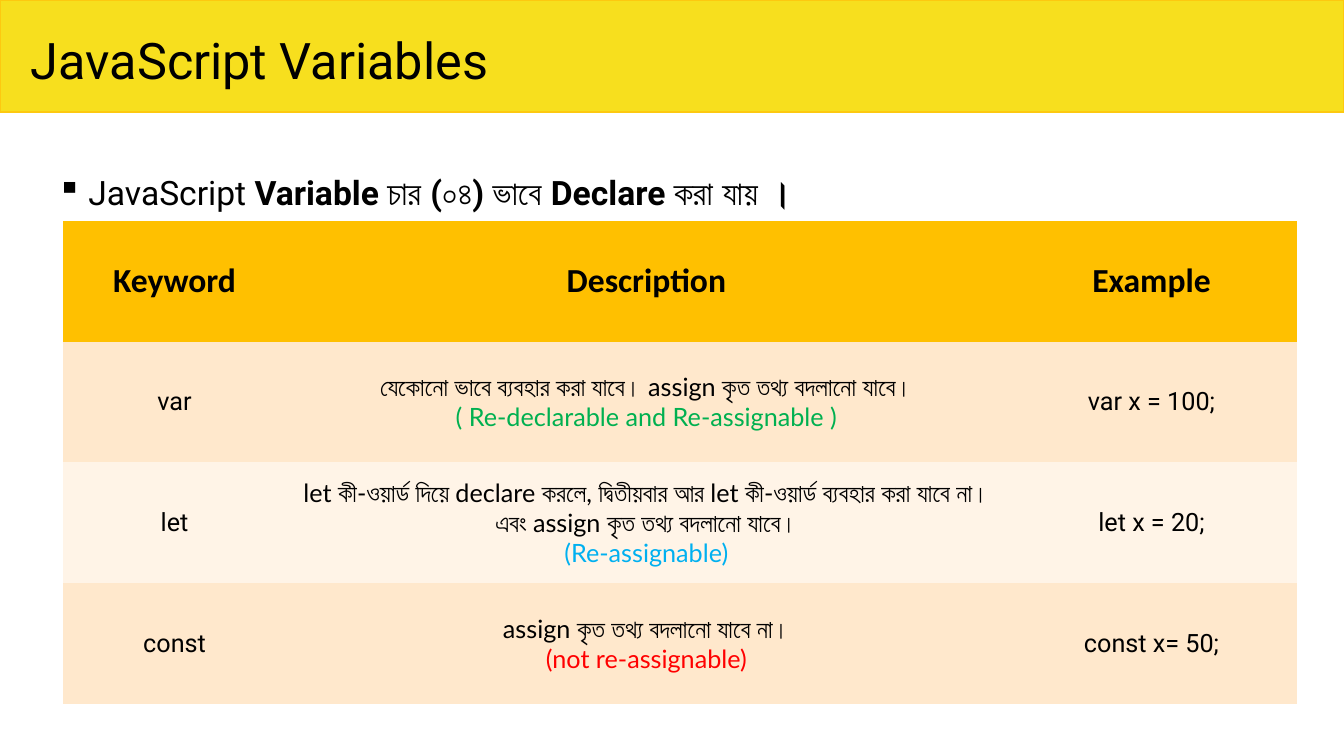
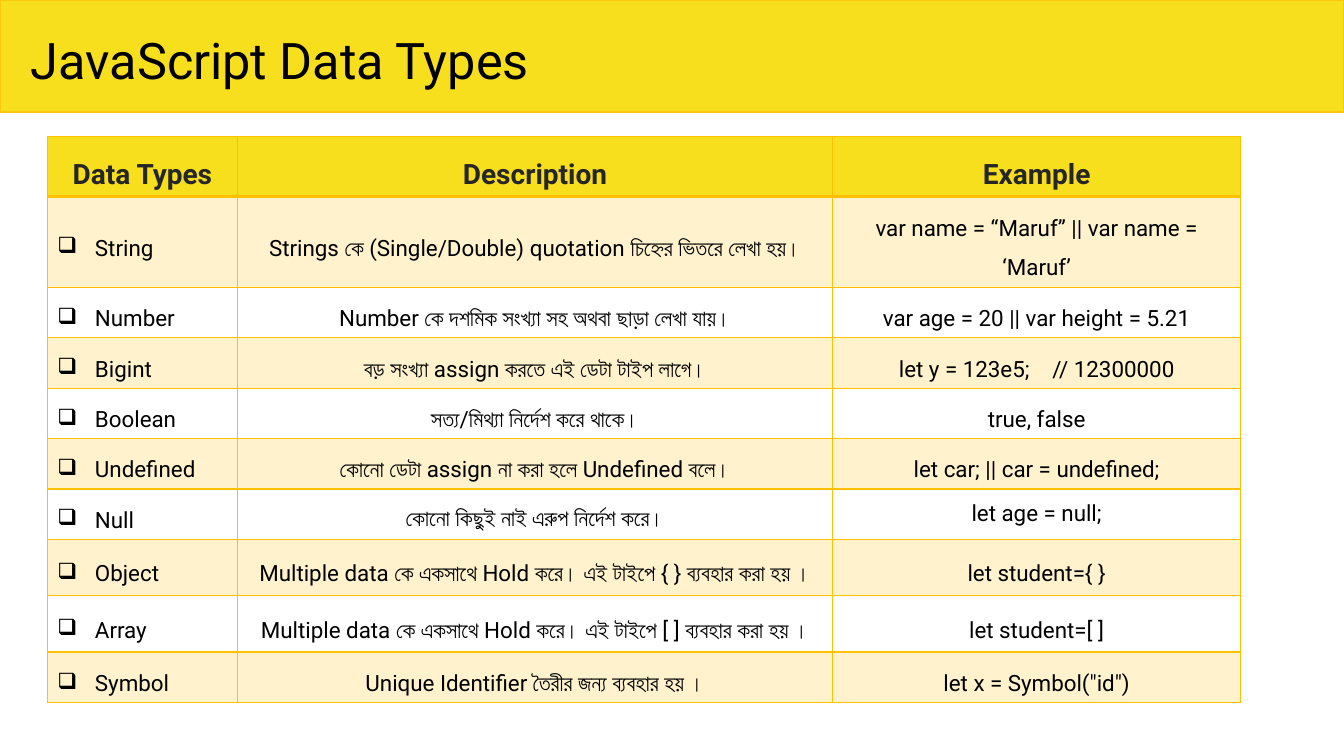
from dataclasses import dataclass
from typing import NamedTuple

from lxml.etree import SubElement
from pptx import Presentation
from pptx.dml.color import RGBColor
from pptx.enum.shapes import MSO_SHAPE as Shape
from pptx.enum.text import MSO_ANCHOR as Anchor, MSO_AUTO_SIZE as AutoSize, PP_ALIGN as Align
from pptx.oxml.ns import qn
from pptx.util import Cm, Pt


@dataclass(frozen=True)
class Theme:
    """Colours, fonts and type sizes shared by the slides."""
    yellow: str = "F7DF1E"
    band_edge: str = "FDC910"
    amber: str = "FFC000"
    amber_tint: str = "FFF2CC"
    peach: str = "FFE8CC"
    cream: str = "FFF4E7"
    white: str = "FFFFFF"
    ink: str = "000000"
    charcoal: str = "262626"
    green: str = "00B050"
    blue: str = "00B0F0"
    red: str = "FF0000"
    font: str = "Roboto"
    header_font: str = "Calibri"
    note_font: str = "Lato"
    title: int = 36
    lead: int = 24
    header: int = 20
    body: int = 18
    small: int = 16


class Box(NamedTuple):
    """A region in centimetres."""
    left: float
    top: float
    width: float
    height: float

    def lengths(self):
        """Return the four measures as slide lengths."""
        return [Cm(value) for value in self]


THEME = Theme()
PAGE = Box(0, 0, 33.87, 19.05)
BAND = Box(0, 0, PAGE.width, 2.82)
PLAIN_STYLE = "{2D5ABB26-0587-4C30-8999-92F81FD0307C}"

KEYWORDS = [
    ("var", "যেকোনো ভাবে ব্যবহার করা যাবে। assign কৃত তথ্য বদলানো যাবে।",
     "( Re-declarable and Re-assignable )", THEME.green, "var x = 100;"),
    ("let", "let কী-ওয়ার্ড দিয়ে declare করলে, দ্বিতীয়বার আর let কী-ওয়ার্ড "
     "ব্যবহার করা যাবে না। এবং assign কৃত তথ্য বদলানো যাবে।",
     "(Re-assignable)", THEME.blue, "let x = 20;"),
    ("const", "assign কৃত তথ্য বদলানো যাবে না।",
     "(not re-assignable)", THEME.red, "const x= 50;"),
]

DATA_TYPES = [
    ("String", "Strings কে (Single/Double) quotation চিহ্নের ভিতরে লেখা হয়।",
     "var name = “Maruf” || var name = ‘Maruf’"),
    ("Number", "Number কে দশমিক সংখ্যা সহ অথবা ছাড়া লেখা যায়।",
     "var age = 20 || var height = 5.21"),
    ("Bigint", "বড় সংখ্যা assign করতে এই ডেটা টাইপ লাগে।",
     "let y = 123e5;\u2003// 12300000"),
    ("Boolean", "সত্য/মিথ্যা নির্দেশ করে থাকে।", "true, false"),
    ("Undefined", "কোনো ডেটা assign না করা হলে Undefined বলে।",
     "let car; || car = undefined;"),
    ("Null", "কোনো কিছুই নাই এরুপ নির্দেশ করে।", "let age = null;"),
    ("Object", "Multiple data কে একসাথে Hold করে। এই টাইপে { } ব্যবহার করা হয় ।",
     "let student={ }"),
    ("Array", "Multiple data কে একসাথে Hold করে। এই টাইপে [ ] ব্যবহার করা হয় ।",
     "let student=[ ]"),
    ("Symbol", "Unique Identifier তৈরীর জন্য ব্যবহার হয় ।", 'let x = Symbol("id")'),
]


def write(para, text, *, size=THEME.body, font=THEME.font, color=THEME.ink,
          bold=False, align=None, spacing=None, bullet=None, indent=0):
    """Add a formatted span to a paragraph, with its paragraph format if given."""
    span = para.add_run()
    span.text = text
    span.font.size, span.font.name, span.font.bold = Pt(size), font, bold
    span.font.color.rgb = RGBColor.from_string(color)
    if align is not None:
        para.alignment = align
    if spacing:
        para.line_spacing = spacing
    if bullet:
        props = para._p.get_or_add_pPr()
        props.set("marL", str(Cm(indent)))
        props.set("indent", str(-Cm(indent)))
        SubElement(props, qn("a:buChar"), char=bullet)


def add_text_box(page, box):
    """Add a wrapping text box and return its first paragraph."""
    frame = page.shapes.add_textbox(*box.lengths()).text_frame
    frame.word_wrap = True
    frame.auto_size = AutoSize.SHAPE_TO_FIT_TEXT
    return frame.paragraphs[0]


def add_title_band(page, box, title):
    """Draw the yellow band with the slide title inside it."""
    band = page.shapes.add_shape(Shape.RECTANGLE, *box.lengths())
    band.shadow.inherit = False
    band.fill.solid()
    band.fill.fore_color.rgb = RGBColor.from_string(THEME.yellow)
    band.line.color.rgb = RGBColor.from_string(THEME.band_edge)
    band.line.width = Pt(1)
    title_box = Box(box.left + 0.53, box.top + 0.61, box.width - 4.13, 1.8)
    write(add_text_box(page, title_box), title, size=THEME.title)


def add_grid(page, box, widths, heights, fills):
    """Add an unstyled table, filling each row with its colour."""
    table = page.shapes.add_table(len(heights), len(widths), *box.lengths()).table
    table.first_row = table.horz_banding = False
    table._tbl.tblPr.find(qn("a:tableStyleId")).text = PLAIN_STYLE
    for column, width in zip(table.columns, widths):
        column.width = Cm(width)
    for row, height, fill in zip(table.rows, heights, fills):
        row.height = Cm(height)
        for cell in row.cells:
            cell.vertical_anchor = Anchor.MIDDLE
            cell.fill.solid()
            cell.fill.fore_color.rgb = RGBColor.from_string(fill)
    return table


def set_borders(cell, color, **widths):
    """Draw cell borders; widths in points are keyed by side, L, R, T or B."""
    props = cell._tc.get_or_add_tcPr()
    for index, (side, width) in enumerate(widths.items()):
        line = props.makeelement(qn(f"a:ln{side}"), {"w": str(Pt(width))})
        SubElement(SubElement(line, qn("a:solidFill")), qn("a:srgbClr"), val=color)
        props.insert(index, line)


def write_row(row, texts, **style):
    """Write one centred text into each cell of a row."""
    for cell, text in zip(row.cells, texts):
        write(cell.text_frame.paragraphs[0], text, align=Align.CENTER, **style)


def add_keyword_table(page, box):
    """Add the table that compares the declaring keywords."""
    row_count = len(KEYWORDS) + 1
    fills = [THEME.amber, THEME.peach, THEME.cream, THEME.peach]
    table = add_grid(page, box, (5.64, 18.14, box.width - 23.78),
                     [box.height / row_count] * row_count, fills)
    header, *rows = table.rows
    write_row(header, ("Keyword", "Description", "Example"),
              size=THEME.lead, font=THEME.header_font, bold=True)
    for row, (keyword, meaning, rule, color, example) in zip(rows, KEYWORDS):
        write_row(row, (keyword, "", example))
        frame = row.cells[1].text_frame
        frame.clear()
        write(frame.paragraphs[0], meaning, font=THEME.note_font, align=Align.CENTER)
        write(frame.add_paragraph(), rule, font=THEME.note_font, color=color,
              align=Align.CENTER)


def add_type_table(page, box):
    """Add the bordered table of data types."""
    heights = [1.52, 2.27] + [1.27] * 5 + [1.42] * 2 + [1.27]
    fills = [THEME.yellow] + [THEME.white if index % 2 else THEME.amber_tint
                              for index in range(len(DATA_TYPES))]
    table = add_grid(page, box, (4.8, 14.99, box.width - 19.79), heights, fills)
    header, *rows = table.rows
    write_row(header, ("Data Types", "Description", "Example"), size=THEME.header,
              color=THEME.charcoal, bold=True, spacing=1.5)
    for row, (name, meaning, example) in zip(rows, DATA_TYPES):
        first, *others = row.cells
        write(first.text_frame.paragraphs[0], name, size=THEME.small, spacing=1.5,
              bullet="❑", indent=0.95)
        for cell, text in zip(others, (meaning, example)):
            write(cell.text_frame.paragraphs[0], text, size=THEME.small,
                  align=Align.CENTER, spacing=1 if text == "let age = null;" else 1.5)
    for index, row in enumerate(table.rows):
        for cell in row.cells:
            set_borders(cell, THEME.amber, L=1, R=1, T=2 if index == 1 else 1,
                        B=2 if index == 0 else 1)


def add_lead(page, box):
    """Add the bulleted sentence above the keyword table."""
    para = add_text_box(page, box)
    write(para, "JavaScript ", size=THEME.lead, spacing=2.0, bullet="▪", indent=0.79)
    write(para, "Variable চার (০৪) ভাবে Declare করা যায় ।", size=THEME.lead, bold=True)


def variables_slide(page, box):
    """Build the slide on variables."""
    add_title_band(page, BAND, "JavaScript Variables")
    add_lead(page, Box(box.left + 1.19, box.top + 3.18, 32, 2.06))
    add_keyword_table(page, Box(box.left + 1.58, box.top + 5.56, 31.1, 12.19))


def data_types_slide(page, box):
    """Build the slide on data types."""
    add_title_band(page, BAND, "JavaScript Data Types")
    add_type_table(page, Box(box.left + 1.19, box.top + 3.43, 30.08, 14.25))


def main():
    """Build and save the deck."""
    deck = Presentation()
    deck.slide_width, deck.slide_height = Cm(PAGE.width), Cm(PAGE.height)
    for build in (variables_slide, data_types_slide):
        build(deck.slides.add_slide(deck.slide_layouts[6]), PAGE)
    deck.save("out.pptx")


main()
